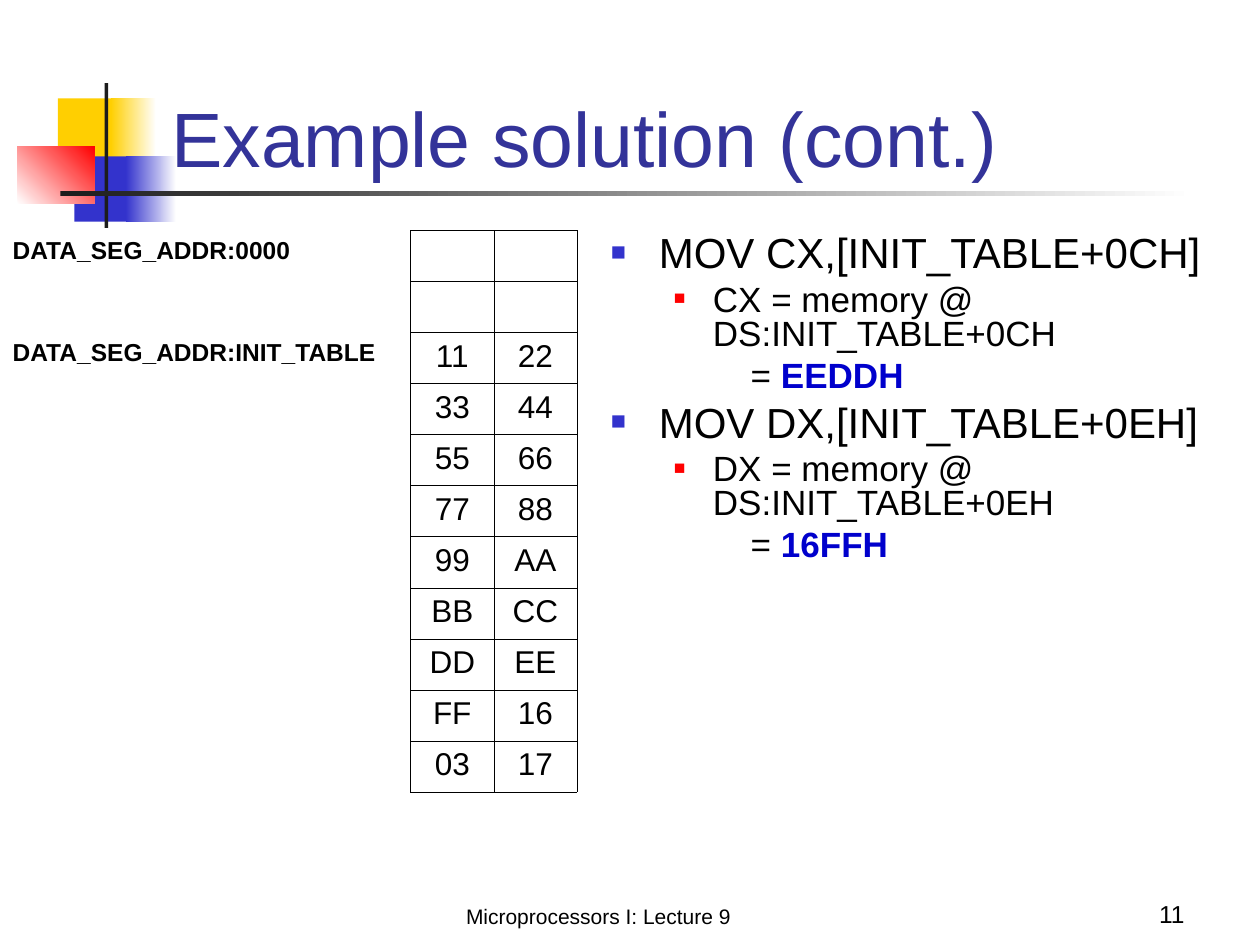
from lxml.etree import SubElement
from pptx import Presentation
from pptx.dml.color import RGBColor
from pptx.enum.shapes import MSO_SHAPE
from pptx.enum.text import MSO_ANCHOR, PP_ALIGN
from pptx.oxml.ns import qn
from pptx.util import Inches, Pt

BLACK, WHITE, INDIGO, RED = "000000", "FFFFFF", "3333CC", "FF0000"
YELLOW, CHARCOAL, TITLE_BLUE, RESULT_BLUE = "FFCF01", "1C1C1C", "333399", "0000CC"

MEMORY_ROWS = [
    ("DATA_SEG_ADDR:0000", "", ""),
    ("", "", ""),
    ("DATA_SEG_ADDR:INIT_TABLE", "11", "22"),
    ("", "33", "44"),
    ("", "55", "66"),
    ("", "77", "88"),
    ("", "99", "AA"),
    ("", "BB", "CC"),
    ("", "DD", "EE"),
    ("", "FF", "16"),
    ("", "03", "17"),
]
INSTRUCTIONS = [
    ("MOV CX,[INIT_TABLE+0CH]", "CX = memory @ DS:INIT_TABLE+0CH", "EEDDH"),
    ("MOV DX,[INIT_TABLE+0EH]", "DX = memory @ DS:INIT_TABLE+0EH", "16FFH"),
]


def rgb(hex_color):
    return RGBColor.from_string(hex_color)


def write(paragraph, text, size=18, color=BLACK, bold=False, align=None):
    if align is not None:
        paragraph.alignment = align
    run = paragraph.add_run()
    run.text = text
    run.font.name = "Arial"
    run.font.size = Pt(size)
    run.font.bold = bold
    run.font.color.rgb = rgb(color)


def add_block(slide, box, color, fade_to=None, angle=0):
    block = slide.shapes.add_shape(MSO_SHAPE.RECTANGLE, *map(Inches, box))
    block.shadow.inherit = False
    block.line.fill.background()
    if fade_to is None:
        block.fill.solid()
        block.fill.fore_color.rgb = rgb(color)
        return
    block.fill.gradient()
    block.fill.gradient_angle = angle
    for stop, stop_color in zip(block.fill.gradient_stops, (color, fade_to)):
        stop.color.rgb = rgb(stop_color)


def add_ornament(slide, left, top):
    def place(x, y, width, height, *colors, **options):
        add_block(slide, (left + x, top + y, width, height), *colors, **options)

    place(0.32, 0.12, 0.48, 0.52, YELLOW)
    place(0.74, 0.12, 0.36, 0.52, YELLOW, WHITE)
    place(0.45, 0.58, 0.46, 0.52, INDIGO)
    place(0.86, 0.58, 0.4, 0.52, INDIGO, WHITE)
    place(0, 0.5, 0.61, 0.46, WHITE, RED, angle=45)
    # Vertical bar and the fading rule under the title
    place(0.69, 0, 0.03, 1.15, CHARCOAL)
    place(0.34, 0.86, 9, 0.04, CHARCOAL, WHITE)


def add_title(slide, box, text):
    title = slide.shapes.title
    title.left, title.top, title.width, title.height = map(Inches, box)
    title.text_frame.vertical_anchor = MSO_ANCHOR.BOTTOM
    write(title.text_frame.paragraphs[0], text, size=44, color=TITLE_BLUE,
          align=PP_ALIGN.LEFT)


def set_borders(cell, **side_colors):
    properties = cell._tc.get_or_add_tcPr()
    for position, (side, color) in enumerate(side_colors.items()):
        line = properties.makeelement(qn(f"a:ln{side}"), {"w": str(Pt(0.45))})
        fill = SubElement(line, qn("a:solidFill"))
        SubElement(fill, qn("a:srgbClr"), val=color)
        properties.insert(position, line)


def add_memory_table(slide, box):
    left, top, width, height = map(Inches, box)
    byte_width = Inches(0.66)
    frame = slide.shapes.add_table(len(MEMORY_ROWS), 3, left, top, width, height)
    memory = frame.table
    memory.first_row = memory.horz_banding = False
    for column, column_width in zip(
            memory.columns, (width - 2 * byte_width, byte_width, byte_width)):
        column.width = column_width
    for row_index, row in enumerate(MEMORY_ROWS):
        for column_index, text in enumerate(row):
            cell = memory.cell(row_index, column_index)
            is_label = column_index == 0
            cell.fill.solid()
            cell.fill.fore_color.rgb = rgb(WHITE)
            edge = WHITE if is_label else BLACK
            set_borders(cell, L=edge, R=BLACK, T=edge, B=edge)
            paragraph = cell.text_frame.paragraphs[0]
            if not text:
                paragraph.font.size = Pt(14)
            elif is_label:
                write(paragraph, text, size=14, bold=True)
            else:
                write(paragraph, text, align=PP_ALIGN.CENTER)


def add_text_frame(slide, box, anchor=MSO_ANCHOR.TOP):
    frame = slide.shapes.add_textbox(*map(Inches, box)).text_frame
    frame.word_wrap = True
    frame.vertical_anchor = anchor
    return frame


def add_line(frame, level, margin, hanging, space_before, bullet=None):
    is_first = not frame.paragraphs[0].runs
    paragraph = frame.paragraphs[0] if is_first else frame.add_paragraph()
    paragraph.level = level
    properties = paragraph._p.get_or_add_pPr()
    properties.set("marL", str(Inches(margin)))
    properties.set("indent", str(-Inches(hanging)))
    if bullet:
        color, percent = bullet
        bullet_color = SubElement(properties, qn("a:buClr"))
        SubElement(bullet_color, qn("a:srgbClr"), val=color)
        SubElement(properties, qn("a:buSzPct"), val=str(percent * 1000))
        SubElement(properties, qn("a:buFont"), typeface="Arial")
        SubElement(properties, qn("a:buChar"), char="■")
    else:
        SubElement(properties, qn("a:buNone"))
    paragraph.line_spacing = 0.8
    paragraph.space_before = Pt(0 if is_first else space_before)
    return paragraph


def add_instructions(slide, box):
    frame = add_text_frame(slide, box)
    for instruction, source, value in INSTRUCTIONS:
        write(add_line(frame, 0, 0.38, 0.38, 6, bullet=(INDIGO, 60)),
              instruction, size=24)
        write(add_line(frame, 1, 0.81, 0.31, 5, bullet=(RED, 55)),
              source, size=20)
        result = add_line(frame, 1, 1.11, 0, 5)
        write(result, "= ", size=20)
        write(result, value, size=20, color=RESULT_BLUE, bold=True)


def add_footer(slide, box):
    left, top, width, height = box
    number_width = 2.08
    course_width = width - number_width
    course = add_text_frame(slide, (left, top, course_width, height),
                            MSO_ANCHOR.BOTTOM)
    write(course.paragraphs[0], "Microprocessors I: Lecture 9", size=12,
          align=PP_ALIGN.CENTER)
    number = add_text_frame(
        slide, (left + course_width, top, number_width, height),
        MSO_ANCHOR.BOTTOM)
    write(number.paragraphs[0], "11", size=14, align=PP_ALIGN.RIGHT)


def main():
    deck = Presentation()
    deck.slide_width, deck.slide_height = Inches(10), Inches(7.5)
    slide = deck.slides.add_slide(deck.slide_layouts[5])
    add_ornament(slide, 0.14, 0.66)
    add_title(slide, (1.26, 0.25, 8.52, 1.25), "Example solution (cont.)")
    add_memory_table(slide, (0, 1.83, 4.58, 4.46))
    add_instructions(slide, (4.75, 1.83, 5.25, 2.96))
    add_footer(slide, (2.08, 6.92, 7.42, 0.5))
    deck.save("out.pptx")


if __name__ == "__main__":
    main()
